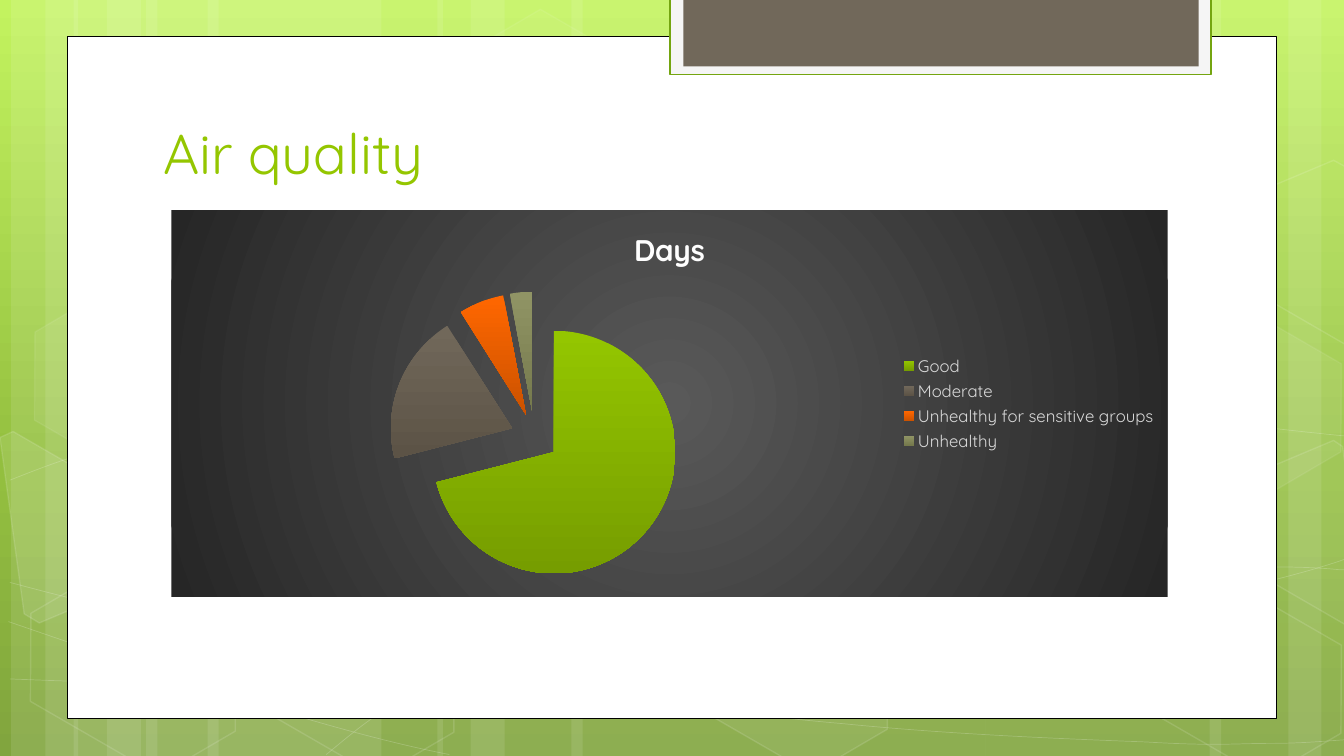
from dataclasses import dataclass

from pptx import Presentation
from pptx.chart.data import CategoryChartData
from pptx.dml.color import RGBColor
from pptx.enum import chart as charts, shapes, text
from pptx.oxml import parse_xml
from pptx.oxml.ns import nsdecls, qn
from pptx.util import Pt


@dataclass(frozen=True)
class Theme:
    font: str = "Quicksand"
    white: str = "FFFFFF"
    black: str = "000000"
    title: str = "94C600"
    tab_border: str = "74A510"
    tab_outer: str = "F5F5F5"
    tab_inner: str = "71685A"
    chart_title: str = "FEFEFE"
    legend: str = "D9D9D9"
    background: tuple = ((0, "C3F35F"), (62, "93BF3F"), (100, "81A53E"))
    chart_area: tuple = ((0, "595959"), (100, "262626"))
    title_size: float = 40
    chart_title_size: float = 21.33
    legend_size: float = 12
    chart_size: float = 10


THEME = Theme()
WIDTH, HEIGHT = 960, 540
TITLE = "Air quality"
SERIES = "Days"

# category, days, top colour, bottom colour
SLICES = [
    ("Good", 71, "94C600", "769D00"),
    ("Moderate", 20, "71685A", "5C5346"),
    ("Unhealthy for sensitive groups", 6, "FF6700", "CB5200"),
    ("Unhealthy", 3, "909465", "75794C"),
]
EXPLOSION = 20

# left, width
STRIPS = [
    (104.4, 168), (7.9, 48), (32.4, 80), (148.3, 168), (52.6, 48), (76.3, 80),
    (704.2, 168), (920.2, 48), (864, 80), (408.2, 296), (312.5, 48), (336.2, 80),
]
STRIP_OPACITY = 10

# start, then for each cubic segment two control points and an end
CURVES = [
    [(7, 485), (59, 487), (111, 489), (183, 488), (255, 487), (343, 486), (439, 479),
     (536, 472), (672, 456), (760, 444), (848, 431), (938, 409), (967, 397)],
    [(7, 343), (35, 332), (62, 321), (117, 310), (171, 300), (248, 284), (333, 279),
     (419, 274), (522, 273), (628, 279), (734, 284), (909, 307), (967, 312)],
    [(6, 444), (122, 484), (238, 523), (321, 539)],
    [(7, 416), (37, 424), (67, 432), (123, 444), (179, 454), (262, 472), (342, 485),
     (422, 497), (523, 510), (603, 517), (683, 525), (768, 528), (819, 530),
     (869, 533), (882, 531), (907, 531), (932, 531), (950, 529), (967, 528)],
    [(233, 539), (250, 525), (266, 511), (290, 498), (313, 485), (346, 470), (372, 460),
     (399, 450), (415, 446), (451, 438), (486, 431), (551, 421), (584, 416),
     (618, 411), (623, 411), (653, 410), (683, 408), (729, 405), (762, 405),
     (796, 404), (851, 405), (851, 405), (872, 405), (893, 405), (914, 405),
     (932, 405), (948, 406), (957, 407), (965, 407), (963, 407), (966, 408)],
]
CURVE_OPACITY = 20

# left, top, fill opacity, line opacity
HEXAGONS = [
    (320.4, 25.9, 4, 8), (476.6, 424.1, 6, 12), (10.8, 425.5, 0, 12),
    (13.7, 224.6, 7, 8), (167, 426.2, 0, 12), (800.6, 427, 0, 12), (800.6, 226, 7, 8),
]
HEXAGON_SIZE = (168.5, 109.4)

# corners, fill opacity, line opacity
EDGE_PIECES = [
    ([(0, 312.5), (9.4, 308.2), (82.8, 350.6), (91.4, 418.3), (28.1, 445),
      (17.3, 438.5)], 10, 12),
    ([(889.2, 341.3), (952.6, 314.6), (959, 319), (977, 450), (971.3, 452.2),
      (897.8, 409.7)], 4, 12),
    ([(889.2, 141.1), (952.6, 114.5), (960.5, 118.8), (977, 249.1), (971.3, 252),
      (897.8, 209.5)], 0, 12),
]

# left, top, width, height, fill, line, line width
PANELS = [
    (48, 26, 864, 487, THEME.white, THEME.black, 0.5),
    (478.6, -1.4, 386.3, 54.7, THEME.tab_outer, THEME.tab_border, 1.25),
    (488.2, -1.4, 367.9, 48.8, THEME.tab_inner, None, 0),
]


def rgb(value):
    return RGBColor.from_string(value)


def set_opacity(properties, where, percent):
    if percent < 100:
        color = properties.find("/".join(qn(tag) for tag in (*where, "a:srgbClr")))
        color.append(parse_xml(f'<a:alpha {nsdecls("a")} val="{percent * 1000}"/>'))


def paint(shape, fill=None, line=None, line_width=0, fill_opacity=100, line_opacity=100):
    shape.shadow.inherit = False
    properties = shape._element.spPr
    if fill and fill_opacity:
        shape.fill.solid()
        shape.fill.fore_color.rgb = rgb(fill)
        set_opacity(properties, ["a:solidFill"], fill_opacity)
    else:
        shape.fill.background()
    if line:
        shape.line.color.rgb = rgb(line)
        shape.line.width = Pt(line_width)
        set_opacity(properties, ["a:ln", "a:solidFill"], line_opacity)
    else:
        shape.line.fill.background()


def add_preset(slide, kind, left, top, width, height):
    return slide.shapes.add_shape(kind, Pt(left), Pt(top), Pt(width), Pt(height))


def add_outline(slide, points, close):
    (x, y), *rest = [(Pt(x), Pt(y)) for x, y in points]
    builder = slide.shapes.build_freeform(x, y)
    builder.add_line_segments(rest, close=close)
    return builder.convert_to_shape()


def add_curve(slide, points):
    """Draw the open outline, then turn every three line steps into one cubic."""
    shape = add_outline(slide, points, close=False)
    steps = list(shape._element.iter(qn("a:lnTo")))
    for first in range(0, len(steps), 3):
        cubic = parse_xml(f'<a:cubicBezTo {nsdecls("a")}/>')
        steps[first].addprevious(cubic)
        for step in steps[first:first + 3]:
            cubic.append(step[0])
            step.getparent().remove(step)
    return shape


def gradient_xml(stops, direction):
    items = "".join(f'<a:gs pos="{position * 1000}"><a:srgbClr val="{color}"/></a:gs>'
                    for position, color in stops)
    return f'<a:gradFill {nsdecls("a")}><a:gsLst>{items}</a:gsLst>{direction}</a:gradFill>'


def style_font(font, size, color, bold=False):
    font.name, font.size, font.bold = THEME.font, Pt(size), bold
    font.color.rgb = rgb(color)


def add_background(slide):
    slide.background.fill.gradient()
    old = slide._element.find(".//" + qn("a:gradFill"))
    new = parse_xml(gradient_xml(THEME.background, '<a:lin ang="5400000" scaled="0"/>'))
    old.getparent().replace(old, new)


def add_decoration(slide):
    preset = shapes.MSO_SHAPE
    for left, width in STRIPS:
        strip = add_preset(slide, preset.RECTANGLE, left, 0, width, HEIGHT)
        paint(strip, THEME.white, fill_opacity=STRIP_OPACITY)
    for points in CURVES:
        paint(add_curve(slide, points), None, THEME.white, 0.5, line_opacity=CURVE_OPACITY)
    for left, top, *opacities in HEXAGONS:
        hexagon = add_preset(slide, preset.HEXAGON, left, top, *HEXAGON_SIZE)
        hexagon.adjustments[0] = 0.285
        hexagon.rotation = 30
        paint(hexagon, THEME.white, THEME.white, 1, *opacities)
    for corners, *opacities in EDGE_PIECES:
        paint(add_outline(slide, corners, close=True), THEME.white, THEME.white, 1, *opacities)
    for left, top, width, height, *style in PANELS:
        paint(add_preset(slide, preset.RECTANGLE, left, top, width, height), *style)


def add_title(slide):
    frame = slide.shapes.add_textbox(Pt(109.5), Pt(81), Pt(737), Pt(90)).text_frame
    frame.word_wrap = True
    frame.vertical_anchor = text.MSO_ANCHOR.TOP
    frame.text = TITLE
    style_font(frame.paragraphs[0].runs[0].font, THEME.title_size, THEME.title)


def add_days_chart(slide):
    data = CategoryChartData()
    data.categories = [name for name, *_ in SLICES]
    data.add_series(SERIES, [days for _, days, *_ in SLICES])
    chart = slide.shapes.add_chart(charts.XL_CHART_TYPE.PIE, Pt(122.4), Pt(150),
                                   Pt(711.7), Pt(276.3), data).chart
    style_font(chart.font, THEME.chart_size, THEME.black)
    chart.has_title = True
    chart.chart_title.include_in_layout = False
    chart.chart_title.text_frame.text = SERIES
    style_font(chart.chart_title.text_frame.paragraphs[0].runs[0].font,
               THEME.chart_title_size, THEME.chart_title, bold=True)
    chart.has_legend = True
    chart.legend.position = charts.XL_LEGEND_POSITION.RIGHT
    chart.legend.include_in_layout = False
    style_font(chart.legend.font, THEME.legend_size, THEME.legend)

    plot = chart.plots[0]
    plot.vary_by_categories = True
    series = plot.series[0]
    series._element.find(qn("c:tx")).addnext(
        parse_xml(f'<c:explosion {nsdecls("c")} val="{EXPLOSION}"/>'))
    for index, (_, _, *colors) in enumerate(SLICES):
        fill = series.points[index].format.fill
        fill.gradient()
        fill.gradient_angle = 270
        for stop, color in zip(fill.gradient_stops, colors):
            stop.color.rgb = rgb(color)

    center = ('<a:path path="circle"><a:fillToRect l="50000" t="50000" '
              'r="50000" b="50000"/></a:path>')
    chart._chartSpace.find(qn("c:chart")).addnext(parse_xml(
        f'<c:spPr {nsdecls("c", "a")}>{gradient_xml(THEME.chart_area, center)}'
        '<a:ln><a:noFill/></a:ln></c:spPr>'))


def main():
    presentation = Presentation()
    presentation.slide_width, presentation.slide_height = Pt(WIDTH), Pt(HEIGHT)
    slide = presentation.slides.add_slide(presentation.slide_layouts[6])
    add_background(slide)
    add_decoration(slide)
    add_title(slide)
    add_days_chart(slide)
    presentation.save("out.pptx")


if __name__ == "__main__":
    main()
